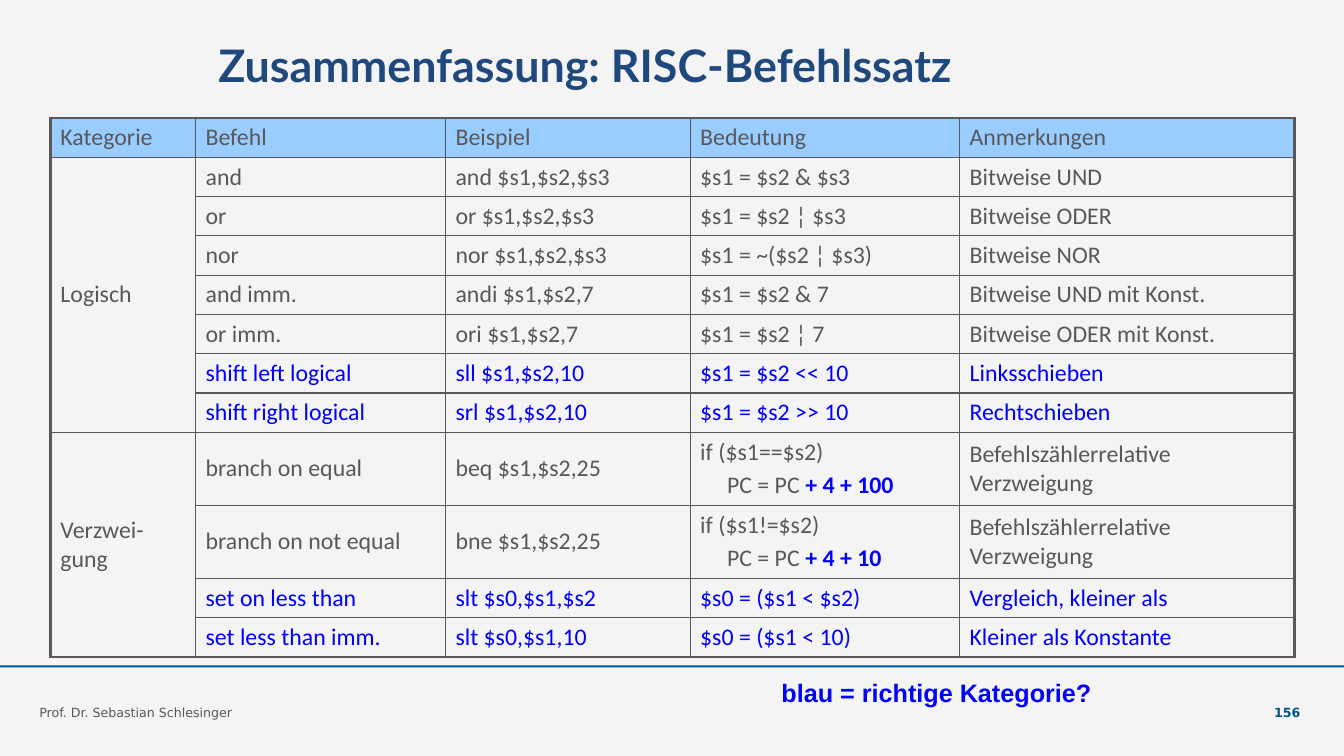
from dataclasses import dataclass
from typing import NamedTuple

from lxml import etree
from pptx import Presentation
from pptx.dml.color import RGBColor
from pptx.enum.shapes import MSO_SHAPE
from pptx.enum.text import MSO_ANCHOR, PP_ALIGN
from pptx.oxml.ns import qn
from pptx.util import Inches, Pt

RECTANGLE = MSO_SHAPE.RECTANGLE
TOP, MIDDLE, BOTTOM = MSO_ANCHOR.TOP, MSO_ANCHOR.MIDDLE, MSO_ANCHOR.BOTTOM
LEFT, RIGHT = PP_ALIGN.LEFT, PP_ALIGN.RIGHT

SLIDE_WIDTH, SLIDE_HEIGHT = Inches(13.33), Inches(7.5)
PAPER, GREY, BLUE, HEADER = "F4F4F4", "58585A", "0000FF", "99CCFF"
NAVY, RULE = "1F497D", "00568A"
COLUMN_SHARES = (10.8, 18.6, 18.2, 20.05, 24.9)
ROW_SHARE, TALL_ROW_SHARE = 5.2, 9.66
OUTER_LINE, INNER_LINE = 2.25, 1


class Box(NamedTuple):
    """Position and size in percent of the slide's width and height."""
    left: float
    top: float
    width: float
    height: float


class Style(NamedTuple):
    """Look of a run."""
    font: str
    size: float
    color: str
    bold: bool = False


@dataclass
class Label:
    """A free text on the slide."""
    text: str
    box: Box
    style: Style
    anchor: MSO_ANCHOR = TOP
    align: PP_ALIGN = LEFT
    margins: tuple[float, float] = (0, 0)
    wrap: bool = True


@dataclass
class Instruction:
    """One row of the instruction table."""
    command: str
    example: str
    meaning: str
    remark: str
    color: str = GREY
    offset: str = ""


@dataclass
class Category:
    """A group of instructions sharing one merged cell."""
    name: str
    instructions: list[Instruction]


HEADINGS = ("Kategorie", "Befehl", "Beispiel", "Bedeutung", "Anmerkungen")
CATEGORIES = [
    Category("Logisch", [
        Instruction("and", "and $s1,$s2,$s3", "$s1 = $s2 & $s3", "Bitweise UND"),
        Instruction("or", "or $s1,$s2,$s3", "$s1 = $s2 ¦ $s3", "Bitweise ODER"),
        Instruction("nor", "nor $s1,$s2,$s3", "$s1 = ~($s2 ¦ $s3)", "Bitweise NOR"),
        Instruction("and imm.", "andi $s1,$s2,7", "$s1 = $s2 & 7", "Bitweise UND mit Konst."),
        Instruction("or imm.", "ori $s1,$s2,7", "$s1 = $s2 ¦ 7", "Bitweise ODER mit Konst."),
        Instruction("shift left logical", "sll $s1,$s2,10", "$s1 = $s2 << 10",
                    "Linksschieben", BLUE),
        Instruction("shift right logical", "srl $s1,$s2,10", "$s1 = $s2 >> 10",
                    "Rechtschieben", BLUE),
    ]),
    Category("Verzwei-gung", [
        Instruction("branch on equal", "beq $s1,$s2,25", "if ($s1==$s2)\n     PC = PC ",
                    "Befehlszählerrelative Verzweigung", offset="+ 4 + 100"),
        Instruction("branch on not equal", "bne $s1,$s2,25", "if ($s1!=$s2)\n     PC = PC ",
                    "Befehlszählerrelative Verzweigung", offset="+ 4 + 10"),
        Instruction("set on less than", "slt $s0,$s1,$s2", "$s0 = ($s1 < $s2)",
                    "Vergleich, kleiner als", BLUE),
        Instruction("set less than imm.", "slt $s0,$s1,10", "$s0 = ($s1 < 10)",
                    "Kleiner als Konstante", BLUE),
    ]),
]
LABELS = [
    Label("Zusammenfassung: RISC-Befehlssatz", Box(16.25, 4.93, 81.25, 8.4),
          Style("Lato", 32, NAVY, True)),
    Label("blau = richtige Kategorie?", Box(57.4, 88.93, 24.8, 5.33),
          Style("Arial", 18, BLUE, True), margins=(0.1, 0.05), wrap=False),
    Label("Prof. Dr. Sebastian Schlesinger", Box(2.93, 90, 69, 5.2),
          Style("DejaVu Sans", 9, GREY), anchor=BOTTOM),
    Label("156", Box(90.25, 90, 6.5, 5.2),
          Style("DejaVu Sans", 9, RULE, True), anchor=BOTTOM, align=RIGHT),
]


def across(share: float) -> int:
    """Convert a percentage of the slide's width to a length."""
    return round(SLIDE_WIDTH * share / 100)


def down(share: float) -> int:
    """Convert a percentage of the slide's height to a length."""
    return round(SLIDE_HEIGHT * share / 100)


def place(box: Box) -> tuple[int, int, int, int]:
    """Convert a box to slide lengths."""
    return across(box.left), down(box.top), across(box.width), down(box.height)


def paint(fill, color: str) -> None:
    """Give a fill one solid colour."""
    fill.solid()
    fill.fore_color.rgb = RGBColor.from_string(color)


def add_run(paragraph, text: str, style: Style) -> None:
    """Append a styled run to a paragraph."""
    run = paragraph.add_run()
    run.text = text
    run.font.name, run.font.size, run.font.bold = style.font, Pt(style.size), style.bold
    run.font.color.rgb = RGBColor.from_string(style.color)


def add_label(slide, label: Label) -> None:
    """Draw a free text."""
    frame = slide.shapes.add_textbox(*place(label.box)).text_frame
    frame.word_wrap, frame.vertical_anchor = label.wrap, label.anchor
    frame.margin_left = frame.margin_right = Inches(label.margins[0])
    frame.margin_top = frame.margin_bottom = Inches(label.margins[1])
    frame.paragraphs[0].alignment = label.align
    add_run(frame.paragraphs[0], label.text, label.style)


def add_rule(slide, box: Box) -> None:
    """Draw the thin bar above the footer."""
    shape = slide.shapes.add_shape(RECTANGLE, *place(box))
    shape.shadow.inherit = False
    paint(shape.fill, RULE)
    shape.line.fill.background()


def fill_cell(cell, text: str, color: str, offset: str = "") -> None:
    """Write a cell's lines, ending with a highlighted offset if there is one."""
    frame = cell.text_frame
    for index, line in enumerate(text.split("\n")):
        paragraph = frame.add_paragraph() if index else frame.paragraphs[0]
        if index:
            paragraph.space_before = Pt(3.4)
        add_run(paragraph, line, Style("Calibri", 17, color))
    if offset:
        add_run(paragraph, offset, Style("Calibri", 17, BLUE, True))


def format_cell(cell, color: str, edges: dict[str, bool]) -> None:
    """Set a cell's anchor, borders and fill; outer edges are thicker."""
    cell.vertical_anchor = MIDDLE
    properties = cell._tc.get_or_add_tcPr()
    for side, is_outer in edges.items():
        width = Pt(OUTER_LINE if is_outer else INNER_LINE)
        line = etree.SubElement(properties, qn(f"a:ln{side}"), w=str(width))
        solid = etree.SubElement(line, qn("a:solidFill"))
        etree.SubElement(solid, qn("a:srgbClr"), val=GREY)
    paint(cell.fill, color)


def add_instruction_table(slide, left: float, top: float) -> None:
    """Draw the table of all instruction categories."""
    instructions = [item for category in CATEGORIES for item in category.instructions]
    heights = [ROW_SHARE] + [TALL_ROW_SHARE if "\n" in item.meaning else ROW_SHARE
                             for item in instructions]
    box = Box(left, top, sum(COLUMN_SHARES), sum(heights))
    table = slide.shapes.add_table(len(heights), len(COLUMN_SHARES), *place(box)).table
    table.first_row = table.horz_banding = False
    for column, share in zip(table.columns, COLUMN_SHARES):
        column.width = across(share)
    for row, share in zip(table.rows, heights):
        row.height = down(share)
    last_row, last_column = len(heights) - 1, len(COLUMN_SHARES) - 1
    for row in range(last_row + 1):
        for column in range(last_column + 1):
            edges = {"L": column == 0, "R": column == last_column,
                     "T": row == 0, "B": row == last_row}
            format_cell(table.cell(row, column), PAPER if row else HEADER, edges)
    for column, heading in enumerate(HEADINGS):
        fill_cell(table.cell(0, column), heading, GREY)
    for row, item in enumerate(instructions, 1):
        fill_cell(table.cell(row, 1), item.command, item.color)
        fill_cell(table.cell(row, 2), item.example, item.color)
        fill_cell(table.cell(row, 3), item.meaning, item.color, item.offset)
        fill_cell(table.cell(row, 4), item.remark, item.color)
    first = 1
    for category in CATEGORIES:
        following = first + len(category.instructions)
        table.cell(first, 0).merge(table.cell(following - 1, 0))
        fill_cell(table.cell(first, 0), category.name, GREY)
        first = following


def main() -> None:
    """Build and save the slide."""
    presentation = Presentation()
    presentation.slide_width, presentation.slide_height = SLIDE_WIDTH, SLIDE_HEIGHT
    slide = presentation.slides.add_slide(presentation.slide_layouts[6])
    paint(slide.background.fill, PAPER)
    add_rule(slide, Box(0, 88, 100, 0.27))
    add_instruction_table(slide, 3.75, 15.6)
    for label in LABELS:
        add_label(slide, label)
    presentation.save("out.pptx")


if __name__ == "__main__":
    main()
